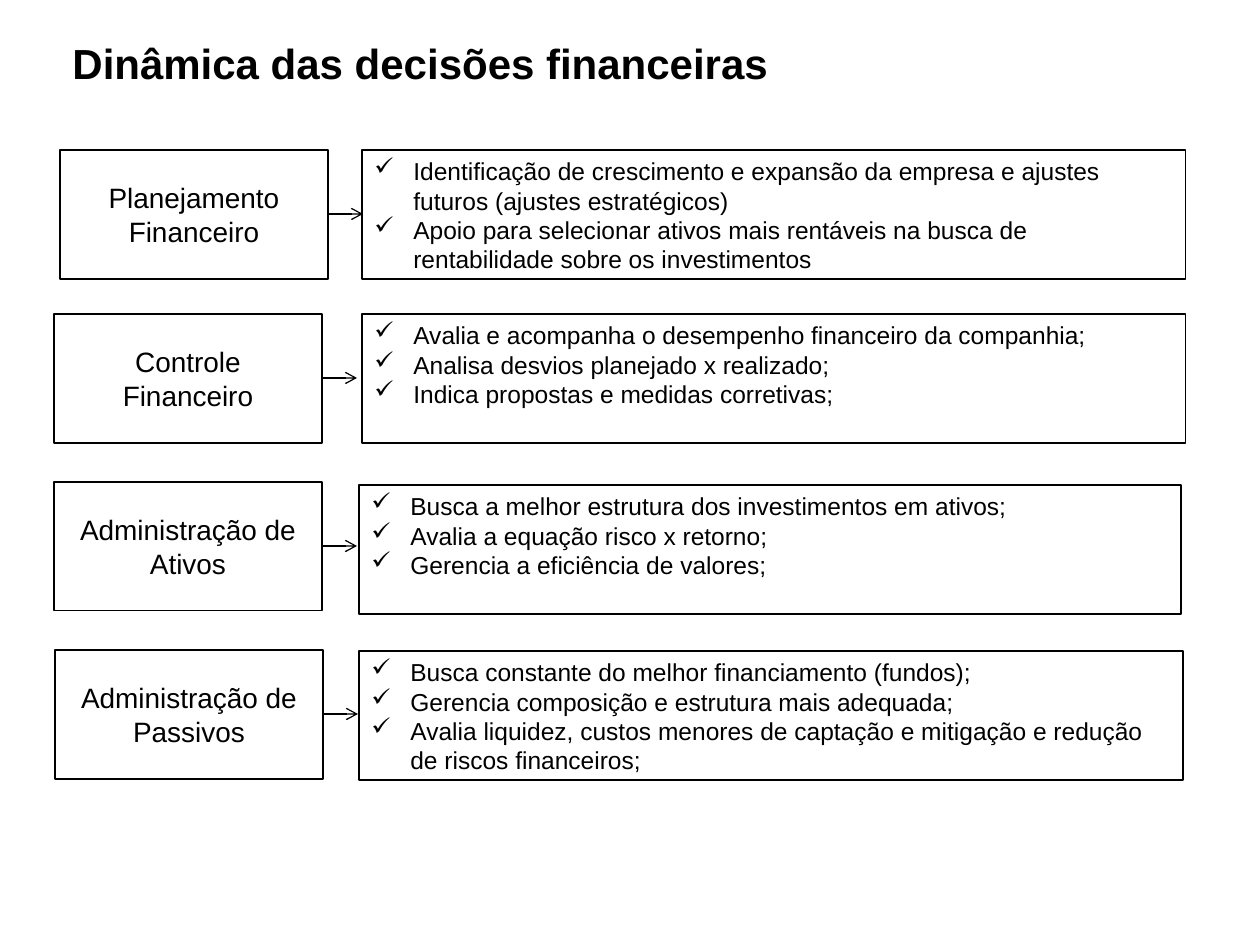
from lxml.etree import SubElement
from pptx import Presentation
from pptx.dml.color import RGBColor
from pptx.enum.shapes import MSO_CONNECTOR, MSO_SHAPE
from pptx.enum.text import MSO_ANCHOR, PP_ALIGN
from pptx.oxml.ns import qn
from pptx.util import Pt

PIXEL = 914400 // 126
BLACK = "000000"
LABEL_WIDTH, BOX_HEIGHT, ARROW_LENGTH = 268, 129, 35
BULLET_INDENT = 39

ROWS = [
    ("Planejamento Financeiro", (60, 150), (362, 150, 824), [
        "Identificação de crescimento e expansão da empresa e ajustes futuros (ajustes estratégicos)",
        "Apoio para selecionar ativos mais rentáveis na busca de rentabilidade sobre os investimentos",
    ]),
    ("Controle Financeiro", (54, 314), (362, 314, 824), [
        "Avalia e acompanha o desempenho financeiro da companhia;",
        "Analisa desvios planejado x realizado;",
        "Indica propostas e medidas corretivas;",
    ]),
    ("Administração de Ativos", (54, 482), (359, 485, 822), [
        "Busca a melhor estrutura dos investimentos em ativos;",
        "Avalia a equação risco x retorno;",
        "Gerencia a eficiência de valores;",
    ]),
    ("Administração de Passivos", (55, 650), (359, 651, 824), [
        "Busca constante do melhor financiamento (fundos);",
        "Gerencia composição e estrutura mais adequada;",
        "Avalia liquidez, custos menores de captação e mitigação e redução de riscos financeiros;",
    ]),
]


def px(*lengths):
    """Turn pixel lengths into EMU."""
    return [length * PIXEL for length in lengths]


def color(hex_value):
    """Return the colour for a hex string."""
    return RGBColor.from_string(hex_value)


def write(paragraph, text, size, bold=False, align=PP_ALIGN.LEFT, bullet=None, spacing=None):
    """Put formatted text into a paragraph."""
    if bullet:
        properties = paragraph._p.get_or_add_pPr()
        properties.set("marL", str(BULLET_INDENT * PIXEL))
        properties.set("indent", str(-BULLET_INDENT * PIXEL))
        SubElement(properties, qn("a:buChar"), char=bullet)
    paragraph.alignment = align
    if spacing:
        paragraph.line_spacing = spacing
    run = paragraph.add_run()
    run.text = text
    run.font.name = "Arial"
    run.font.size = Pt(size)
    run.font.bold = bold
    run.font.color.rgb = color(BLACK)


def add_title(slide, left, top, width, height):
    """Add the slide heading."""
    frame = slide.shapes.add_textbox(*px(left, top, width, height)).text_frame
    frame.word_wrap = True
    write(frame.paragraphs[0], "Dinâmica das decisões financeiras", 24, bold=True, spacing=0.9)


def add_box(slide, left, top, width, texts, anchor, **text_format):
    """Add an outlined box with one paragraph per text."""
    shape = slide.shapes.add_shape(MSO_SHAPE.RECTANGLE, *px(left, top, width, BOX_HEIGHT))
    shape.shadow.inherit = False
    shape.fill.background()
    shape.line.color.rgb = color(BLACK)
    shape.line.width = Pt(0.75)
    frame = shape.text_frame
    frame.word_wrap = True
    frame.vertical_anchor = anchor
    for index, text in enumerate(texts):
        paragraph = frame.add_paragraph() if index else frame.paragraphs[0]
        write(paragraph, text, **text_format)


def add_arrow(slide, left, top, length):
    """Add a horizontal arrow pointing right."""
    connector = slide.shapes.add_connector(
        MSO_CONNECTOR.STRAIGHT, *px(left, top, left + length, top))
    connector.line.color.rgb = color(BLACK)
    connector.line.width = Pt(0.75)
    SubElement(connector.line._get_or_add_ln(), qn("a:tailEnd"), type="arrow")
    SubElement(connector._element.spPr, qn("a:effectLst"))


def add_row(slide, label, label_place, detail_place, details):
    """Add a label, its arrow and its checklist."""
    left, top = label_place
    add_box(slide, left, top, LABEL_WIDTH, [label], MSO_ANCHOR.MIDDLE,
            size=16, align=PP_ALIGN.CENTER)
    add_arrow(slide, left + LABEL_WIDTH, top + BOX_HEIGHT // 2, ARROW_LENGTH)
    add_box(slide, *detail_place, details, MSO_ANCHOR.TOP, size=14, bullet="✓")


def main():
    """Build and save the presentation."""
    presentation = Presentation()
    presentation.slide_width, presentation.slide_height = px(1260, 945)
    slide = presentation.slides.add_slide(presentation.slide_layouts[6])
    add_title(slide, 60, 37, 1181, 110)
    for row in ROWS:
        add_row(slide, *row)
    presentation.save("out.pptx")


if __name__ == "__main__":
    main()
